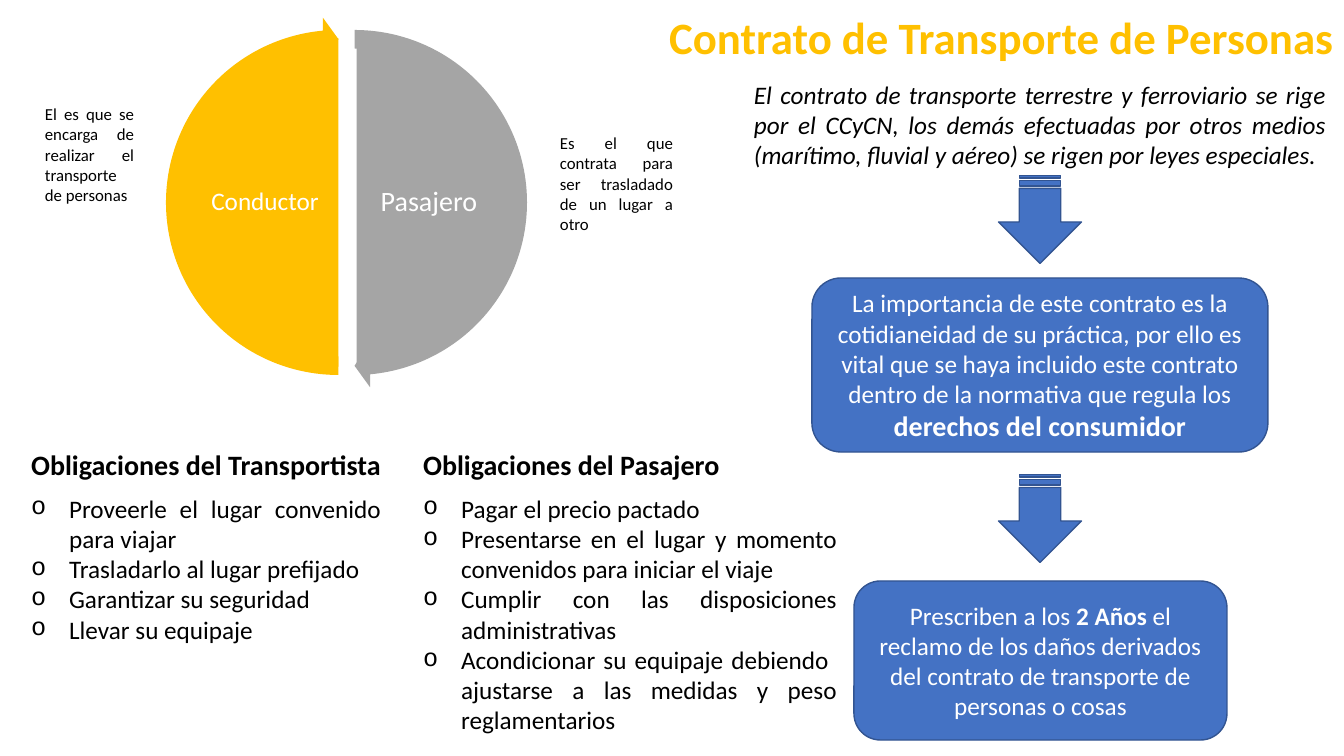
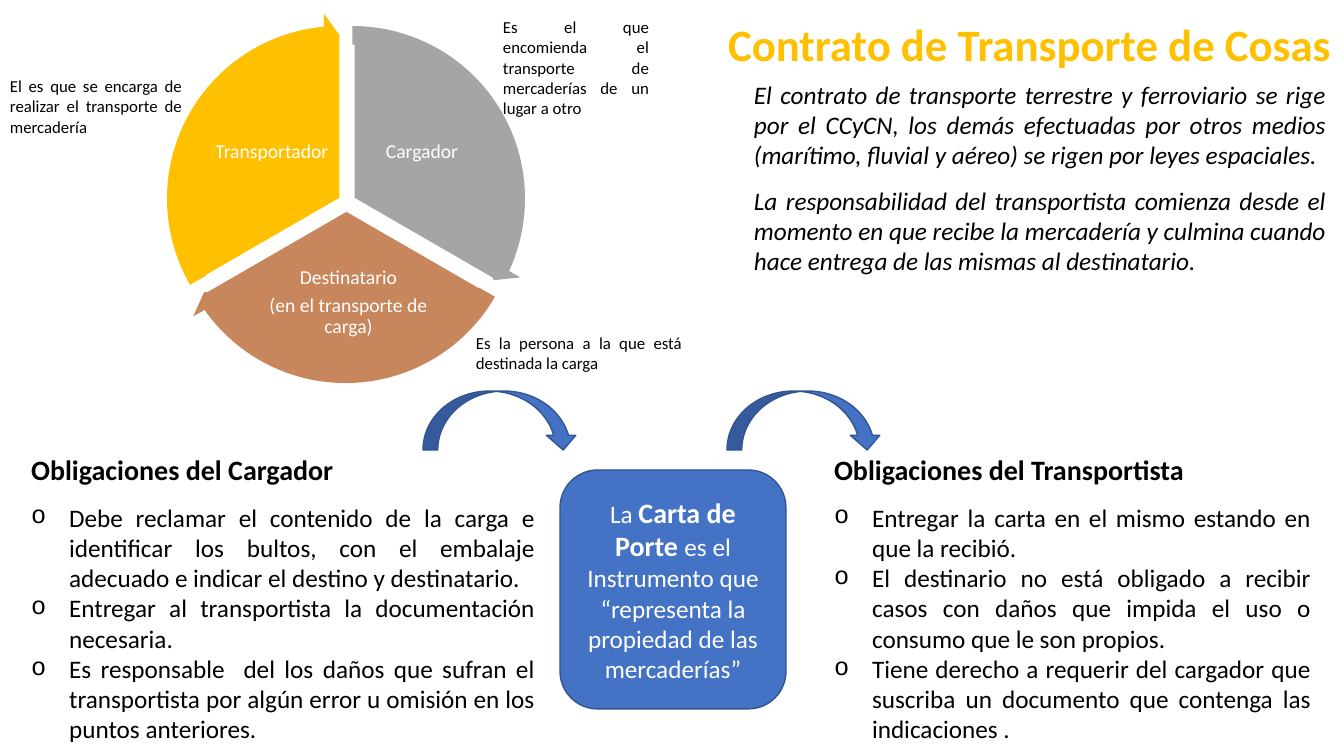
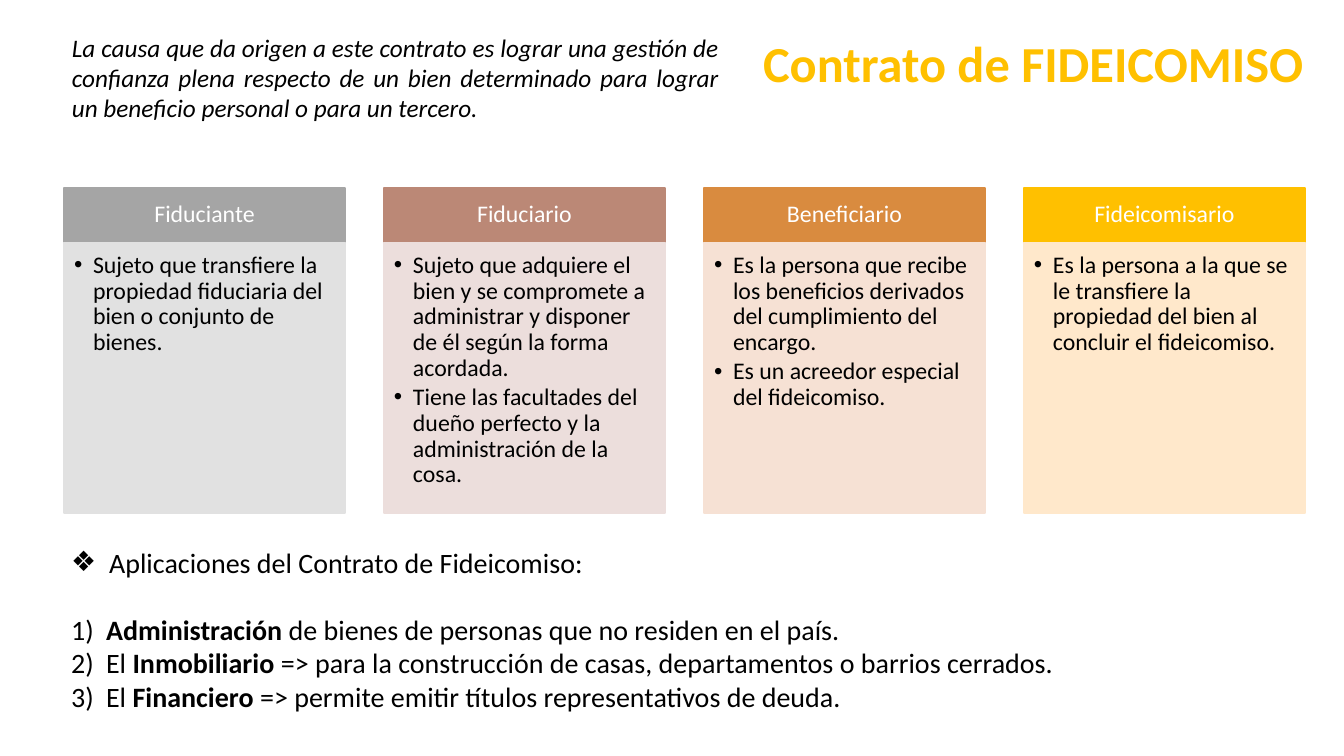
from dataclasses import dataclass

from lxml import etree
from pptx import Presentation
from pptx.dml.color import RGBColor
from pptx.enum.shapes import MSO_SHAPE as Shape
from pptx.enum.text import MSO_ANCHOR as Anchor, MSO_AUTO_SIZE as AutoSize, PP_ALIGN as Align
from pptx.oxml.ns import qn
from pptx.util import Emu, Pt

SCALE = 12192000 / 1344  # EMU per pixel


def px(value):
    return Emu(round(value * SCALE))


@dataclass(frozen=True)
class Theme:
    font: str = "Calibri"
    gold: str = "FFC000"
    gray: str = "A5A5A5"
    copper: str = "C8865C"
    rose: str = "BB8876"
    orange: str = "D98B3F"
    gray_tint: str = "E1E1E1"
    rose_tint: str = "ECDEDC"
    orange_tint: str = "F6E1D4"
    gold_tint: str = "FFE8CB"
    blue: str = "4472C4"
    navy: str = "325491"
    black: str = "000000"
    white: str = "FFFFFF"
    title: int = 32
    large_title: int = 36
    heading: int = 20
    body: int = 18
    card: int = 17
    small_label: int = 14
    note: int = 12


THEME = Theme()


class Deck:
    def __init__(self, theme):
        self.theme = theme
        self.presentation = Presentation()
        self.presentation.slide_width = px(1344)
        self.presentation.slide_height = px(756)
        self.slide = None

    def new_slide(self, layout_name):
        layout = self.presentation.slide_layouts.get_by_name(layout_name)
        self.slide = self.presentation.slides.add_slide(layout)

    # Text
    def set_text(self, frame, lines, size, color=None, align=Align.LEFT, anchor=Anchor.TOP,
                 bold=False, italic=False, strong_size=None, spacing=1.0, before=0, after=0,
                 margins=None):
        """Fill a frame; words between asterisks are bold."""
        frame.word_wrap = True
        frame.auto_size = AutoSize.NONE
        frame.vertical_anchor = anchor
        if margins:
            (frame.margin_left, frame.margin_top,
             frame.margin_right, frame.margin_bottom) = map(px, margins)
        lines = [lines] if isinstance(lines, str) else lines
        for index, line in enumerate(lines):
            paragraph = frame.paragraphs[0] if index == 0 else frame.add_paragraph()
            paragraph.alignment = align
            paragraph.line_spacing = spacing
            paragraph.space_before = Pt(before if index else 0)
            paragraph.space_after = Pt(after)
            for part, words in enumerate(line.split("*")):
                if not words:
                    continue
                strong = part % 2 == 1
                run = paragraph.add_run()
                run.text = words
                run.font.name = self.theme.font
                run.font.size = Pt(strong_size if strong and strong_size else size)
                run.font.bold = bold or strong
                run.font.italic = italic
                run.font.color.rgb = RGBColor.from_string(color or self.theme.black)

    def bullet(self, paragraph, indent, char=None, font="Arial"):
        properties = paragraph._p.get_or_add_pPr()
        properties.set("marL", str(px(indent)))
        properties.set("indent", str(-px(indent)))
        if char:
            etree.SubElement(properties, qn("a:buFont")).set("typeface", font)
            etree.SubElement(properties, qn("a:buChar")).set("char", char)
        else:
            etree.SubElement(properties, qn("a:buNone"))

    def place(self, shape, box):
        shape.left, shape.top, shape.width, shape.height = map(px, box)

    def placeholder(self, index, box, lines, size, **style):
        shape = self.slide.placeholders[index]
        self.place(shape, box)
        self.set_text(shape.text_frame, lines, size, **style)
        return shape.text_frame

    def title(self, box, words, size=None):
        self.placeholder(0, box, words, size or self.theme.title, color=self.theme.gold, bold=True)

    def duties(self, index, heading_box, heading, list_box, items):
        self.placeholder(index, heading_box, heading, self.theme.heading, bold=True)
        frame = self.placeholder(index + 1, list_box, items, self.theme.body, align=Align.JUSTIFY)
        for paragraph in frame.paragraphs:
            self.bullet(paragraph, 38, "o", "Courier New")

    def text(self, box, lines, size, **style):
        shape = self.slide.shapes.add_textbox(*map(px, box))
        self.set_text(shape.text_frame, lines, size, **style)

    def note(self, box, words):
        self.text(box, words, self.theme.note, align=Align.JUSTIFY)

    def intro(self, box, lines):
        self.text(box, lines, self.theme.body, align=Align.JUSTIFY, italic=True, before=11)

    # Shapes
    def shape(self, kind, box, fill, line=None, line_width=1, adjustments=(), rotation=0):
        shape = self.slide.shapes.add_shape(kind, *map(px, box))
        shape.shadow.inherit = False
        shape.rotation = rotation
        shape.fill.solid()
        shape.fill.fore_color.rgb = RGBColor.from_string(fill)
        if line:
            shape.line.color.rgb = RGBColor.from_string(line)
            shape.line.width = Pt(line_width)
        else:
            shape.line.fill.background()
        for index, value in enumerate(adjustments):
            shape.adjustments[index] = value
        return shape

    def blue_shape(self, kind, box, rotation=0):
        return self.shape(kind, box, self.theme.blue, self.theme.navy, rotation=rotation)

    def blue_box(self, box, words, strong_size=None):
        shape = self.blue_shape(Shape.ROUNDED_RECTANGLE, box)
        self.set_text(shape.text_frame, words, self.theme.body, color=self.theme.white,
                      align=Align.CENTER, anchor=Anchor.MIDDLE, strong_size=strong_size)

    def cycle(self, sectors, margin):
        """Equal sectors clockwise from the top, each followed by a rim arrow.

        A sector is (left, top, fill, label box, label lines, label size).
        """
        turn = 360 / len(sectors)
        angles = [(270 + turn * index) % 360 * 0.6 for index in range(len(sectors) + 1)]
        for index, (left, top, fill, label_box, lines, size) in enumerate(sectors):
            self.shape(Shape.PIE, (left, top, 331, 331), fill, self.theme.white, 1.5,
                       angles[index:index + 2])
            self.text(label_box, lines, size, color=self.theme.white, align=Align.CENTER,
                      anchor=Anchor.MIDDLE, spacing=0.9, after=size * 0.35, margins=[margin] * 4)
        for index, (left, top, fill, *_) in enumerate(sectors):
            start, end = angles[index:index + 2]
            self.shape(Shape.CIRCULAR_ARROW, (left - 21, top - 20, 371, 371), fill,
                       adjustments=(0.05, 3.28, end - 3.28, start, 0.06))

    def card(self, left, heading, fill, tint, items):
        header = self.shape(Shape.RECTANGLE, (left, 188, 281, 54), fill, fill)
        self.set_text(header.text_frame, heading, self.theme.card, color=self.theme.white,
                      align=Align.CENTER, anchor=Anchor.MIDDLE, spacing=0.9,
                      margins=(13, 8, 13, 8))
        panel = self.shape(Shape.RECTANGLE, (left, 243, 281, 270), tint, tint)
        self.set_text(panel.text_frame, items, self.theme.card, spacing=0.9, after=2.5,
                      margins=(10, 10, 13, 15))
        for paragraph in panel.text_frame.paragraphs:
            self.bullet(paragraph, 19, "•")


deck = Deck(THEME)

# Slide 1: transport of people
deck.new_slide("Comparison")
deck.title((659, 5, 709, 65), "Contrato de Transporte de Personas")
deck.cycle([
    (190, 37, THEME.gray, (370, 124, 118, 157), "Pasajero", THEME.heading),
    (174, 37, THEME.gold, (206, 124, 118, 157), "Conductor", THEME.body),
], margin=3)
deck.note((35, 99, 109, 112), "El es que se encarga de realizar el transporte de personas")
deck.note((550, 128, 133, 112), "Es el que contrata para ser trasladado de un lugar a otro")
deck.intro((744, 74, 592, 102),
           "El contrato de transporte terrestre y ferroviario se rige por el CCyCN, los demás "
           "efectuadas por otros medios (marítimo, fluvial y aéreo) se rigen por leyes especiales.")
deck.duties(1, (21, 442, 380, 44), "Obligaciones del Transportista", (21, 488, 370, 163), [
    "Proveerle el lugar convenido para viajar",
    "Trasladarlo al lugar prefijado",
    "Garantizar su seguridad",
    "Llevar su equipaje",
])
deck.duties(3, (413, 442, 331, 44), "Obligaciones del Pasajero", (413, 488, 434, 254), [
    "Pagar el precio pactado",
    "Presentarse en el lugar y momento convenidos para iniciar el viaje",
    "Cumplir con las disposiciones administrativas",
    "Acondicionar su equipaje debiendo  ajustarse a las medidas y peso reglamentarios",
])
deck.blue_box((812, 278, 456, 174),
              "La importancia de este contrato es la cotidianeidad de su práctica, por ello es vital "
              "que se haya incluido este contrato dentro de la normativa que regula los "
              "*derechos del consumidor*", THEME.heading)
deck.blue_box((854, 581, 373, 159),
              "Prescriben a los *2 Años *el reclamo de los daños derivados del contrato de "
              "transporte de personas o cosas")
for top in (178, 477):
    deck.blue_shape(Shape.STRIPED_RIGHT_ARROW, (996, top, 88, 83), rotation=90)

# Slide 2: transport of goods
deck.new_slide("Comparison")
deck.title((718, 12, 639, 65), "Contrato de Transporte de Cosas")
deck.cycle([
    (188, 33, THEME.gray, (363, 103, 118, 99), "Cargador", THEME.small_label),
    (181, 45, THEME.copper, (260, 259, 177, 87),
     ["Destinatario", "(en el transporte de carga)"], THEME.small_label),
    (175, 33, THEME.gold, (213, 103, 118, 99), "Transportador", THEME.small_label),
], margin=2)
deck.note((0, 71, 192, 72), "El es que se encarga de realizar el transporte de mercadería")
deck.note((493, 12, 166, 112),
          "Es el que encomienda el transporte de mercaderías de un lugar a otro")
deck.note((466, 328, 226, 50), "Es la persona a la que está destinada la carga")
deck.intro((744, 74, 592, 209), [
    "El contrato de transporte terrestre y ferroviario se rige por el CCyCN, los demás "
    "efectuadas por otros medios (marítimo, fluvial y aéreo) se rigen por leyes espaciales.",
    "La responsabilidad del transportista comienza desde el momento en que recibe la "
    "mercadería y culmina cuando hace entrega de las mismas al destinatario.",
])
deck.duties(1, (21, 447, 326, 44), "Obligaciones del Cargador", (21, 497, 524, 254), [
    "Debe reclamar el contenido de la carga e identificar los bultos, con el embalaje adecuado "
    "e indicar el destino y destinatario.",
    "Entregar al transportista la documentación necesaria.",
    "Es responsable  del los daños que sufran el transportista por algún error u omisión en los "
    "puntos anteriores.",
])
deck.duties(3, (824, 447, 394, 44), "Obligaciones del Transportista", (824, 497, 497, 254), [
    "Entregar la carta en el mismo estando en que la recibió.",
    "El destinario no está obligado a recibir casos con daños que impida el uso o consumo que "
    "le son propios.",
    "Tiene derecho a requerir del cargador que suscriba un documento que contenga las "
    "indicaciones .",
])
deck.blue_box((560, 470, 226, 239),
              "La *Carta de Porte *es el Instrumento que “representa la propiedad de las mercaderías”",
              THEME.heading)
for left in (423, 727):
    deck.blue_shape(Shape.CURVED_DOWN_ARROW, (left, 391, 155, 59))

# Slide 3: trust contract
deck.new_slide("Title and Content")
deck.title((753, 27, 667, 71), "Contrato de FIDEICOMISO", THEME.large_title)
deck.intro((62, 27, 667, 102),
           "La causa que da origen a este contrato es lograr una gestión de confianza plena respecto "
           "de un bien determinado para lograr un beneficio personal o para un tercero.")
cards = [
    ("Fiduciante", THEME.gray, THEME.gray_tint,
     ["Sujeto que transfiere la propiedad fiduciaria del bien o conjunto de bienes."]),
    ("Fiduciario", THEME.rose, THEME.rose_tint,
     ["Sujeto que adquiere el bien y se compromete a administrar y disponer de él según la "
      "forma acordada.",
      "Tiene las facultades del dueño perfecto y la administración de la cosa."]),
    ("Beneficiario", THEME.orange, THEME.orange_tint,
     ["Es la persona que recibe los beneficios derivados del cumplimiento del encargo.",
      "Es un acreedor especial del fideicomiso."]),
    ("Fideicomisario", THEME.gold, THEME.gold_tint,
     ["Es la persona a la que se le transfiere la propiedad del bien al concluir el fideicomiso."]),
]
for column, card in enumerate(cards):
    deck.card(64 + 320 * column, *card)

uses = deck.placeholder(1, (61, 540, 1244, 179), [
    "Aplicaciones del Contrato de Fideicomiso:",
    "1)\t*Administración* de bienes de personas que no residen en el país.",
    "2)\tEl *Inmobiliario* => para la construcción de casas, departamentos o barrios cerrados.",
    "3)\tEl *Financiero* => permite emitir títulos representativos de deuda.",
], THEME.heading, align=Align.JUSTIFY)
heading, *numbered = uses.paragraphs
deck.bullet(heading, 38, "❖")
for paragraph in numbered:
    deck.bullet(paragraph, 35)
numbered[0].space_before = Pt(24)

deck.presentation.save("out.pptx")
